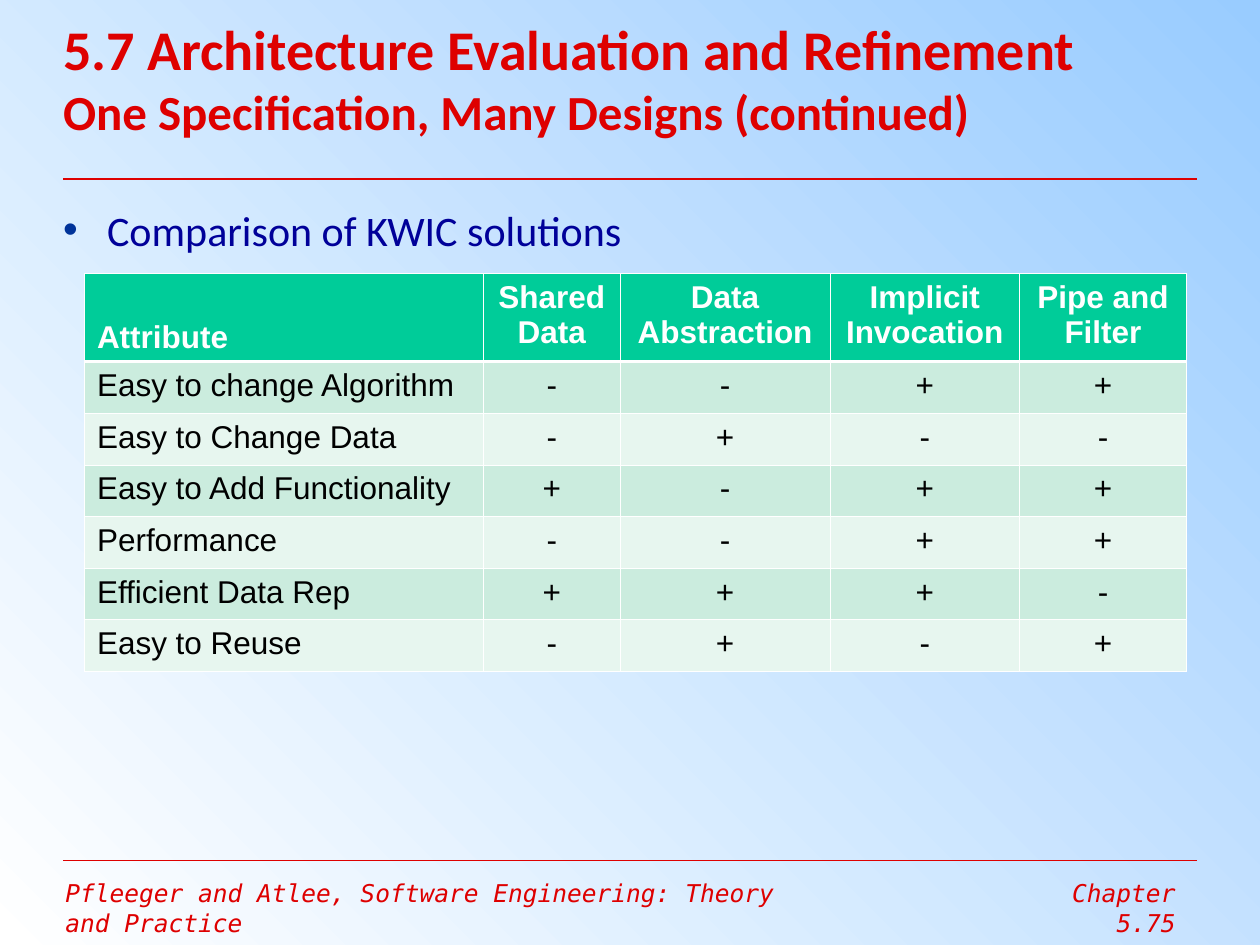
from lxml.etree import SubElement
from pptx import Presentation
from pptx.dml.color import RGBColor
from pptx.enum.shapes import MSO_CONNECTOR
from pptx.enum.text import MSO_ANCHOR, MSO_AUTO_SIZE, PP_ALIGN
from pptx.oxml.ns import qn
from pptx.util import Inches, Pt

RED = RGBColor(0xDE, 0x00, 0x00)
NAVY = RGBColor(0x00, 0x00, 0x99)
BULLET_BLUE = RGBColor(0x00, 0x33, 0x99)
SKY = RGBColor(0x99, 0xCC, 0xFF)
WHITE = RGBColor(0xFF, 0xFF, 0xFF)
BLACK = RGBColor(0x00, 0x00, 0x00)
HEADER_GREEN = RGBColor(0x00, 0xCC, 0x99)
BAND_GREENS = (RGBColor(0xCB, 0xEC, 0xDE), RGBColor(0xE7, 0xF6, 0xEF))

HEADERS = ["Attribute", "Shared\nData", "Data\nAbstraction",
           "Implicit Invocation", "Pipe and\nFilter"]
RATINGS = [
    ("Easy to change Algorithm", "--++"),
    ("Easy to Change Data", "-+--"),
    ("Easy to Add Functionality", "+-++"),
    ("Performance", "--++"),
    ("Efficient Data Rep", "+++-"),
    ("Easy to Reuse", "-+-+"),
]
COLUMN_WIDTHS = (3.17, 1.08, 1.67, 1.5, 1.33)
HEADER_HEIGHT, ROW_HEIGHT = 0.7, 0.41
THIN, THICK = 0.45, 1.47


def add_span(paragraph, text, font, size, color, bold=False, italic=False):
    span = paragraph.add_run()
    span.text = text
    span.font.name = font
    span.font.size = Pt(size)
    span.font.color.rgb = color
    span.font.bold = bold
    span.font.italic = italic


def set_frame(frame, side=0, top=0):
    frame.word_wrap = True
    frame.auto_size = MSO_AUTO_SIZE.NONE
    frame.margin_left = frame.margin_right = Inches(side)
    frame.margin_top = frame.margin_bottom = Inches(top)


def set_background(page):
    fill = page.background.fill
    fill.gradient()
    fill.gradient_angle = 225
    for stop, color, position in zip(fill.gradient_stops, (SKY, WHITE), (0, 1)):
        stop.color.rgb = color
        stop.position = position


def add_rule(page, top, width):
    rule = page.shapes.add_connector(MSO_CONNECTOR.STRAIGHT, Inches(0.5),
                                     Inches(top), Inches(9.5), Inches(top))
    rule.line.color.rgb = RED
    rule.line.width = Pt(width)
    SubElement(rule._element.spPr, qn("a:effectLst"))


def add_footer(page, text, left, width, alignment):
    box = page.shapes.add_textbox(Inches(left), Inches(6.92),
                                  Inches(width), Inches(0.35))
    set_frame(box.text_frame, 0.1, 0.05)
    paragraph = box.text_frame.paragraphs[0]
    paragraph.alignment = alignment
    add_span(paragraph, text, "DejaVu Sans Mono", 14, RED, italic=True)


def fill_title(title):
    title.left, title.top = Inches(0.5), Inches(0)
    title.width, title.height = Inches(9.5), Inches(1.23)
    set_frame(title.text_frame)
    title.text_frame.vertical_anchor = MSO_ANCHOR.MIDDLE
    paragraph = title.text_frame.paragraphs[0]
    paragraph.alignment = PP_ALIGN.LEFT
    add_span(paragraph, "5.7 Architecture Evaluation and Refinement",
             "Calibri", 32, RED, bold=True)
    paragraph.add_line_break()
    add_span(paragraph, "One Specification, Many Designs (continued)",
             "Calibri", 28, RED, bold=True)


def add_bullet_text(page, text):
    box = page.shapes.add_textbox(Inches(0.5), Inches(1.62),
                                  Inches(8.98), Inches(0.5))
    set_frame(box.text_frame)
    paragraph = box.text_frame.paragraphs[0]
    properties = paragraph._p.get_or_add_pPr()
    properties.set("marL", str(Inches(0.35)))
    properties.set("indent", str(-Inches(0.35)))
    bullet_color = SubElement(properties, qn("a:buClr"))
    SubElement(bullet_color, qn("a:srgbClr"), val=str(BULLET_BLUE))
    SubElement(properties, qn("a:buFont"), typeface="Arial")
    SubElement(properties, qn("a:buChar"), char="•")
    add_span(paragraph, text, "Calibri", 24, NAVY)


def set_borders(cell, top, bottom):
    """Draw white cell borders; the schema wants them ahead of the fill."""
    properties = cell._tc.get_or_add_tcPr()
    widths = {"a:lnL": THIN, "a:lnR": THIN, "a:lnT": top, "a:lnB": bottom}
    for tag, width in widths.items():
        line = SubElement(properties, qn(tag), w=str(Pt(width)))
        solid = SubElement(line, qn("a:solidFill"))
        SubElement(solid, qn("a:srgbClr"), val=str(WHITE))


def fill_cell(cell, text, row, column):
    header = row == 0
    set_borders(cell, THICK if row == 1 else THIN, THICK if header else THIN)
    cell.fill.solid()
    cell.fill.fore_color.rgb = HEADER_GREEN if header else BAND_GREENS[(row - 1) % 2]
    cell.margin_left = cell.margin_right = Inches(0.1)
    cell.margin_top = cell.margin_bottom = Inches(0.05)
    bottom = header and column == 0
    cell.vertical_anchor = MSO_ANCHOR.BOTTOM if bottom else MSO_ANCHOR.TOP
    frame = cell.text_frame
    for index, line in enumerate(text.split("\n")):
        paragraph = frame.add_paragraph() if index else frame.paragraphs[0]
        paragraph.alignment = PP_ALIGN.CENTER if column else PP_ALIGN.LEFT
        add_span(paragraph, line, "Arial", 18, WHITE if header else BLACK, bold=header)


def add_comparison_table(page):
    rows = [HEADERS] + [[name, *marks] for name, marks in RATINGS]
    heights = [HEADER_HEIGHT] + [ROW_HEIGHT] * len(RATINGS)
    table = page.shapes.add_table(
        len(rows), len(HEADERS), Inches(0.67), Inches(2.17),
        Inches(sum(COLUMN_WIDTHS)), Inches(sum(heights))).table
    for column, width in zip(table.columns, COLUMN_WIDTHS):
        column.width = Inches(width)
    for row, height in zip(table.rows, heights):
        row.height = Inches(height)
    for row, texts in enumerate(rows):
        for column, text in enumerate(texts):
            fill_cell(table.cell(row, column), text, row, column)


def main():
    deck = Presentation()
    deck.slide_width, deck.slide_height = Inches(10), Inches(7.5)
    page = deck.slides.add_slide(deck.slide_layouts[5])
    set_background(page)
    add_footer(page, "Pfleeger and Atlee, Software Engineering: Theory and Practice",
               0.42, 6, PP_ALIGN.LEFT)
    add_rule(page, 6.83, 0.75)
    add_rule(page, 1.42, 1.5)
    add_footer(page, "Chapter 5.75", 7.83, 1.6, PP_ALIGN.RIGHT)
    fill_title(page.shapes.title)
    add_bullet_text(page, "Comparison of KWIC solutions")
    add_comparison_table(page)
    deck.save("out.pptx")


if __name__ == "__main__":
    main()
